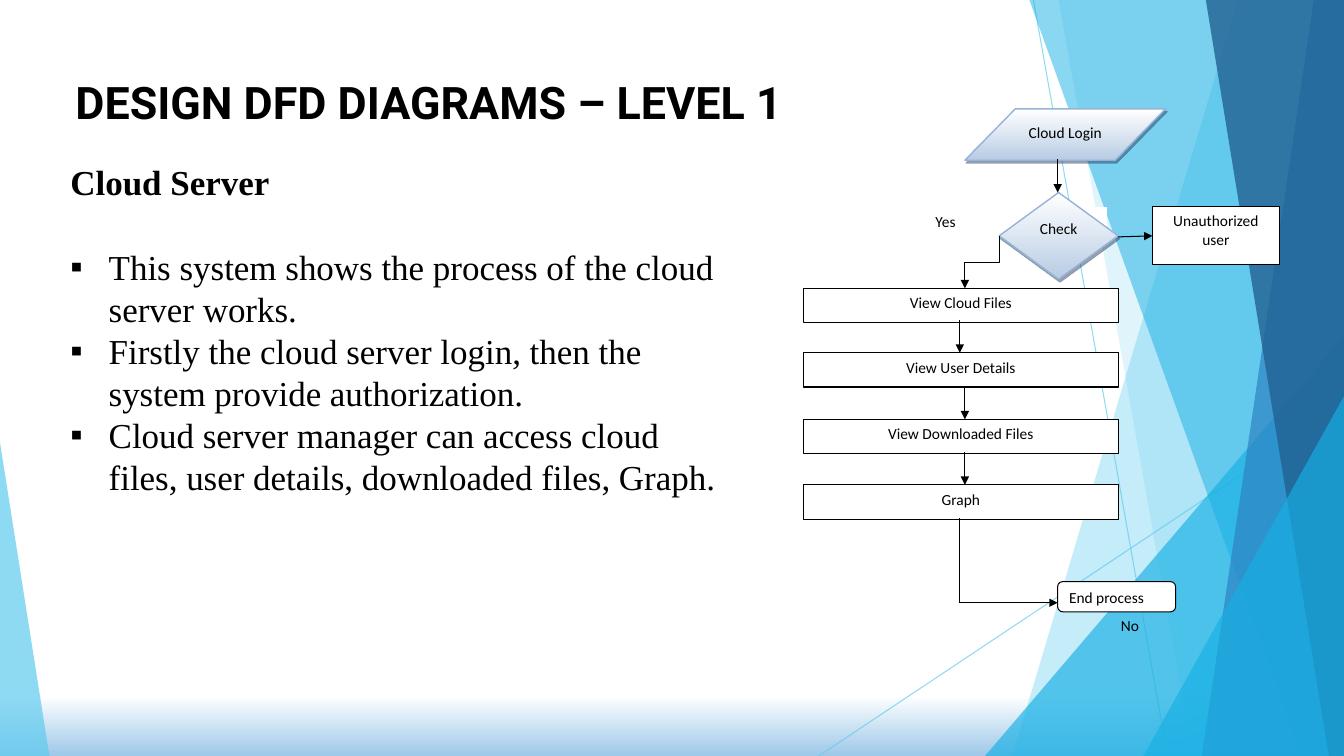
import dataclasses
from typing import Any, Optional

import lxml.etree
import pptx
import pptx.dml.color
import pptx.enum.shapes
import pptx.enum.text
import pptx.oxml
import pptx.oxml.ns
import pptx.util

RGB = pptx.dml.color.RGBColor
SHAPE = pptx.enum.shapes.MSO_SHAPE
CONNECTOR = pptx.enum.shapes.MSO_CONNECTOR
ALIGN = pptx.enum.text.PP_ALIGN

WHITE = RGB(0xFF, 0xFF, 0xFF)
BLACK = RGB(0x00, 0x00, 0x00)
SKY = RGB(0x5F, 0xCB, 0xEF)
CYAN = RGB(0x17, 0xB0, 0xE4)
BLUE = RGB(0x2E, 0x83, 0xC3)
NAVY = RGB(0x22, 0x62, 0x92)
GLOW = RGB(0x9D, 0xC8, 0xE8)
PALE = RGB(0xB8, 0xCC, 0xE4)
EDGE = RGB(0x95, 0xB3, 0xD7)
SHADE = RGB(0x24, 0x3F, 0x60)

PX = 9144
WIDTH, HEIGHT = 1333, 750


@dataclasses.dataclass(frozen=True)
class Facet:
    points: tuple[tuple[int, int], ...]
    color: RGB
    alpha: int


@dataclasses.dataclass(frozen=True)
class Node:
    text: str
    x: int
    y: int
    w: int
    h: int
    kind: Any = SHAPE.RECTANGLE
    adj: Optional[float] = None
    line: RGB = BLACK
    raised: bool = False
    align: Any = ALIGN.CENTER


@dataclasses.dataclass(frozen=True)
class Link:
    start: tuple[int, int]
    end: tuple[int, int]
    color: RGB = BLACK
    alpha: int = 100
    arrow: bool = True
    kind: Any = CONNECTOR.STRAIGHT
    turn: int = 0


def right_band(top: int, bottom: int, color: RGB, alpha: int) -> Facet:
    return Facet(((top, 0), (WIDTH, 0), (WIDTH, HEIGHT), (bottom, HEIGHT)), color, alpha)


def corner(x: int, y: int, color: RGB, alpha: int) -> Facet:
    return Facet(((WIDTH, y), (WIDTH, HEIGHT), (x, HEIGHT)), color, alpha)


ROWS = [Node(text, 797, y, 312, 34) for text, y in (
    ("View Cloud Files", 286), ("View User Details", 350),
    ("View Downloaded Files", 416), ("Graph", 481))]

FACETS = [
    right_band(1228, 1004, SKY, 36),
    right_band(1050, 1183, SKY, 20),
    corner(977, 333, CYAN, 66),
    right_band(1021, 1291, CYAN, 50),
    right_band(1303, 1192, BLUE, 70),
    right_band(1196, 1318, NAVY, 80),
    corner(1134, 393, CYAN, 66),
    Facet(((0, 439), (49, HEIGHT), (0, HEIGHT)), SKY, 70),
]
RAYS = [
    Link((1025, 0), (1158, HEIGHT), SKY, 70, False),
    Link((WIDTH, 403), (812, HEIGHT), SKY, 70, False),
]
NODES = [
    Node("", 1054, 206, 43, 31, line=WHITE),
    Node("Yes", 918, 206, 43, 31, line=WHITE, align=ALIGN.LEFT),
    Node("Unauthorized user", 1143, 205, 126, 57),
    Node("Cloud Login", 957, 108, 199, 51, SHAPE.PARALLELOGRAM, 0.98, EDGE, True),
    Node("Check", 991, 191, 118, 86, SHAPE.DIAMOND, None, EDGE, True),
    *ROWS,
    Node("End process", 1049, 577, 117, 30, SHAPE.ROUNDED_RECTANGLE, 0.17, align=ALIGN.LEFT),
]
LINKS = [
    Link((1049, 158), (1049, 191)),
    Link((1109, 235), (1143, 234)),
    Link((948, 243), (1000, 277), kind=CONNECTOR.ELBOW, turn=90),
    Link((952, 317), (952, 350)),
    Link((957, 383), (957, 416)),
    Link((957, 448), (957, 481)),
    Link((952, 514), (952, 598), arrow=False),
    Link((952, 598), (1049, 598)),
]
BULLETS = [
    "This system shows the process of the cloud server works.",
    "Firstly the cloud server login, then the system provide authorization.",
    "Cloud server manager can access cloud files, user details, downloaded files, Graph.",
]


def sub(parent: Any, tag: str, **attrs: Any) -> Any:
    values = {name: str(value) for name, value in attrs.items()}
    return lxml.etree.SubElement(parent, pptx.oxml.ns.qn(tag), values)


def set_alpha(element: Any, alpha: int) -> None:
    if alpha < 100:
        for color in element.iter(pptx.oxml.ns.qn("a:srgbClr")):
            sub(color, "a:alpha", val=alpha * 1000)


def set_gradient(fill: Any, first: RGB, start: float, last: RGB) -> None:
    fill.gradient()
    fill.gradient_angle = 270
    for stop, color, position in zip(fill.gradient_stops, (first, last), (start, 1.0)):
        stop.color.rgb = color
        stop.position = position


def add_run(p: Any, text: str, size: int, font: str, bold: bool = False) -> None:
    r = p.add_run()
    r.text = text
    r.font.size = pptx.util.Pt(size)
    r.font.name = font
    r.font.bold = bold
    r.font.color.rgb = BLACK


def add_facet(s: Any, facet: Facet) -> None:
    builder = s.shapes.build_freeform(*facet.points[0], scale=PX)
    builder.add_line_segments(facet.points[1:])
    sp = builder.convert_to_shape()
    sp.shadow.inherit = False
    sp.fill.solid()
    sp.fill.fore_color.rgb = facet.color
    set_alpha(sp._element.spPr, facet.alpha)
    sp.line.fill.background()


def add_node(s: Any, node: Node) -> None:
    sp = s.shapes.add_shape(node.kind, *(v * PX for v in (node.x, node.y, node.w, node.h)))
    sp.shadow.inherit = False
    if node.adj is not None:
        sp.adjustments[0] = node.adj
    sp.line.color.rgb = node.line
    sp.line.width = pptx.util.Pt(1 if node.raised else 0.75)
    if node.raised:
        set_gradient(sp.fill, WHITE, 0.0, PALE)
        effects = sp._element.spPr.find(pptx.oxml.ns.qn("a:effectLst"))
        shadow = sub(effects, "a:outerShdw", dist=28000, dir=63 * 60000, algn="ctr", rotWithShape=0)
        sub(sub(shadow, "a:srgbClr", val=SHADE), "a:alpha", val=50000)
    else:
        sp.fill.solid()
        sp.fill.fore_color.rgb = WHITE
    if node.text:
        sp.text_frame.vertical_anchor = pptx.enum.text.MSO_ANCHOR.TOP
        p = sp.text_frame.paragraphs[0]
        p.alignment = node.align
        add_run(p, node.text, 11, "Calibri")


def add_link(s: Any, link: Link) -> None:
    c = s.shapes.add_connector(link.kind, *(v * PX for v in link.start + link.end))
    c.line.color.rgb = link.color
    c.line.width = pptx.util.Pt(0.75)
    set_alpha(c._element.spPr, link.alpha)
    if link.arrow:
        sub(c.line._get_or_add_ln(), "a:tailEnd", type="triangle")
    if link.turn:
        c._element.spPr.xfrm.set("rot", str(link.turn * 60000))
    sub(c._element.spPr, "a:effectLst")


def add_text(s: Any, x: int, y: int, w: int, h: int, lines: list[str], size: int, font: str,
             bold: bool = False, wrap: bool = False, pitch: Optional[int] = None,
             bullet: str = "") -> None:
    tf = s.shapes.add_textbox(*(v * PX for v in (x, y, w, h))).text_frame
    tf.word_wrap = wrap
    for i, line in enumerate(lines):
        p = tf.add_paragraph() if i else tf.paragraphs[0]
        if pitch:
            p.line_spacing = pptx.util.Pt(pitch)
        if bullet:
            pPr = p._p.get_or_add_pPr()
            pPr.set("marL", str(38 * PX))
            pPr.set("indent", str(-38 * PX))
            sub(pPr, "a:buFont", typeface="Arial")
            sub(pPr, "a:buChar", char=bullet)
        add_run(p, line, size, font, bold)


def main() -> None:
    prs = pptx.Presentation()
    prs.slide_width, prs.slide_height = WIDTH * PX, HEIGHT * PX
    s = prs.slides.add_slide(prs.slide_layouts[6])
    set_gradient(s.background.fill, WHITE, 0.92, GLOW)
    for ray in RAYS:
        add_link(s, ray)
    for facet in FACETS:
        add_facet(s, facet)
    for node in NODES:
        add_node(s, node)
    for link in LINKS:
        add_link(s, link)
    add_text(s, 1102, 606, 47, 29, ["No"], 11, "Calibri")
    add_text(s, 65, 69, 732, 64, ["DESIGN DFD DIAGRAMS – LEVEL 1"], 32, "Roboto", bold=True)
    add_text(s, 60, 154, 220, 52, ["Cloud Server"], 25, "Times New Roman", bold=True, pitch=30)
    add_text(s, 60, 239, 667, 263, BULLETS, 25, "Times New Roman", wrap=True, pitch=30, bullet="▪")
    prs.save("out.pptx")


if __name__ == "__main__":
    main()
